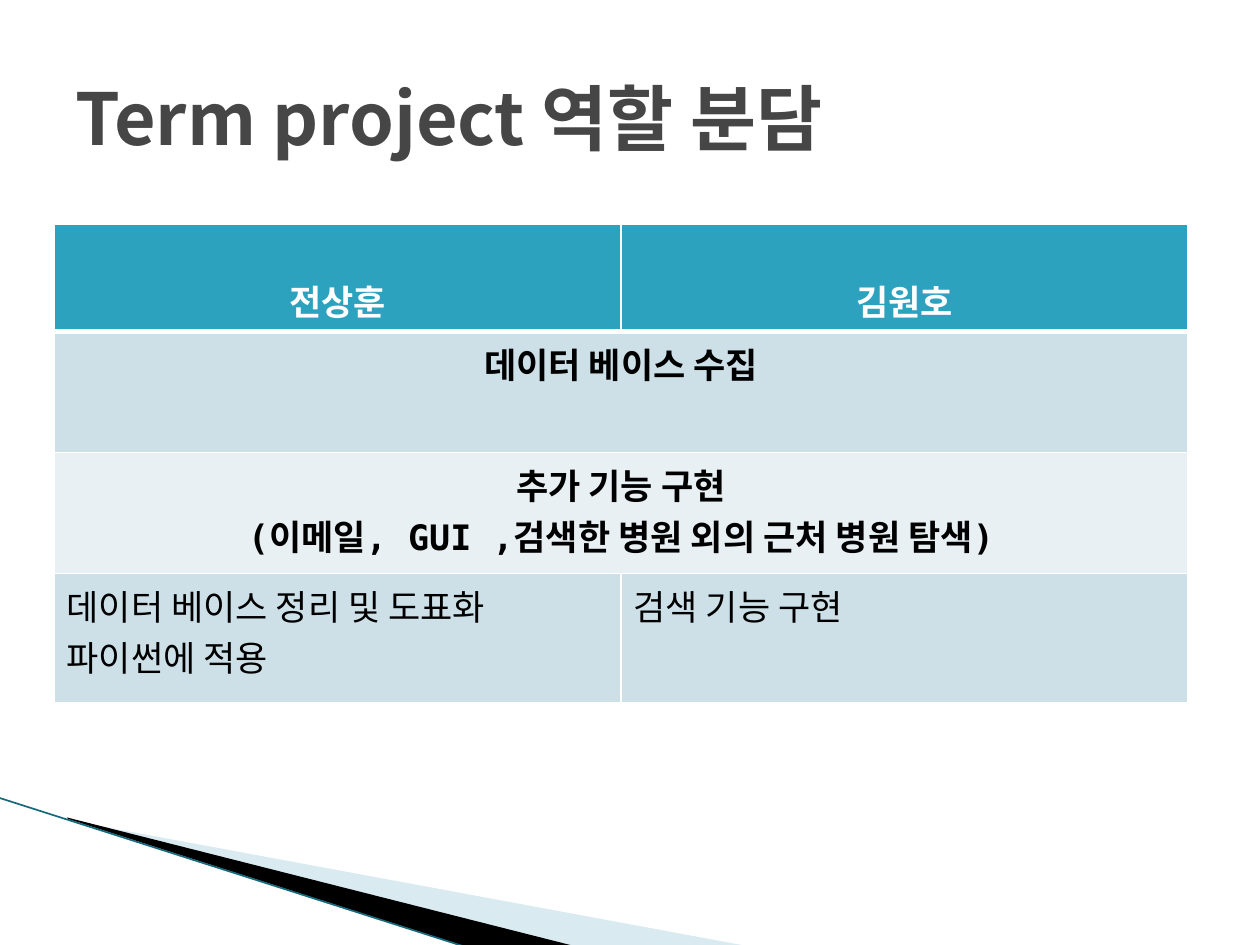
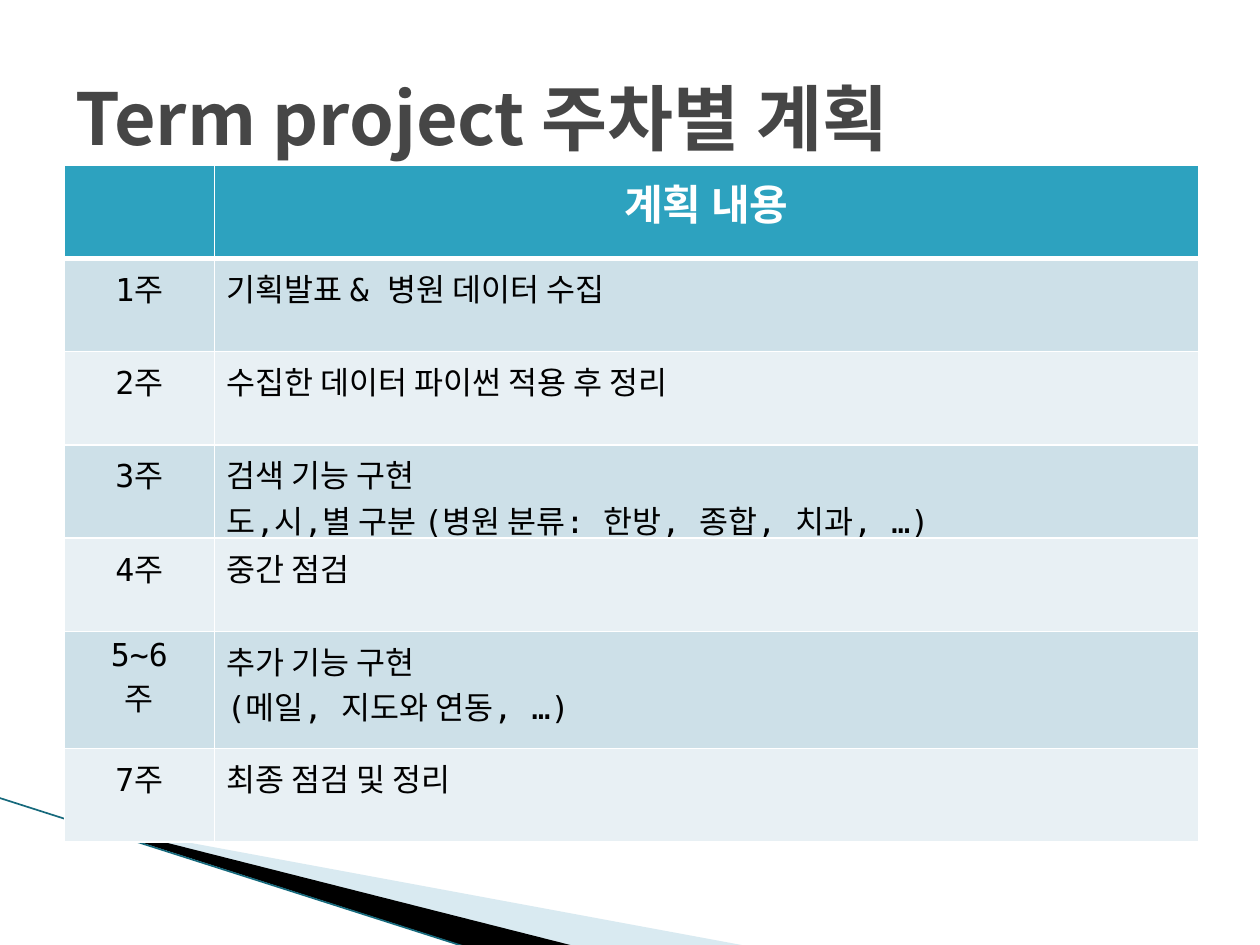
from lxml import etree
from pptx import Presentation
from pptx.dml.color import RGBColor
from pptx.enum.shapes import MSO_CONNECTOR
from pptx.enum.text import MSO_ANCHOR, PP_ALIGN
from pptx.oxml.ns import qn
from pptx.util import Cm, Pt

CENTER, LEFT = PP_ALIGN.CENTER, PP_ALIGN.LEFT
TOP, MIDDLE, BOTTOM = MSO_ANCHOR.TOP, MSO_ANCHOR.MIDDLE, MSO_ANCHOR.BOTTOM
STRAIGHT = MSO_CONNECTOR.STRAIGHT

WHITE, BLACK = "FFFFFF", "000000"
TITLE_GREY = "464646"
HEADER_TEAL = "2DA2BF"
ROW_TINTS = ("CDE0E8", "E8F0F4")
SWOOSH_BLUE = "A0CBDC"
SWOOSH_EDGE = "16697C"
TITLE_FONT = KOREAN_FONT = "Noto Sans CJK KR"
TABLE_FONT = "DejaVu Sans Mono"
BLANK_LAYOUT = 6


def rgb(value):
    """Turn a hex string into a colour."""
    return RGBColor.from_string(value)


def style_paragraph(paragraph, size, color, bold, font, align=LEFT):
    """Set the font and alignment of a whole paragraph."""
    paragraph.alignment = align
    paragraph.font.size = Pt(size)
    paragraph.font.bold = bold
    paragraph.font.color.rgb = rgb(color)
    paragraph.font.name = font
    defaults = paragraph._p.get_or_add_pPr().find(qn("a:defRPr"))
    etree.SubElement(defaults, qn("a:ea"), typeface=KOREAN_FONT)


def add_sliver(slide, points, color, opacity=100):
    """Draw a filled outline through points given in centimetres."""
    corners = [(Cm(x), Cm(y)) for x, y in points]
    builder = slide.shapes.build_freeform(*corners[0], scale=1.0)
    builder.add_line_segments(corners[1:], close=True)
    sliver = builder.convert_to_shape()
    sliver.shadow.inherit = False
    sliver.line.fill.background()
    sliver.fill.solid()
    sliver.fill.fore_color.rgb = rgb(color)
    if opacity < 100:
        tint = sliver._element.spPr.find(qn("a:solidFill"))[0]
        etree.SubElement(tint, qn("a:alpha"), val=str(opacity * 1000))


def add_swoosh(slide):
    """Draw the corner decoration that all slides share."""
    add_sliver(slide, [(1.4, 16.54), (15.11, 19.08), (11.58, 19.08),
                       (1.4, 16.51)], SWOOSH_BLUE, opacity=40)
    add_sliver(slide, [(1.35, 16.48), (11.61, 19.08), (9.45, 19.1),
                       (1.37, 16.51)], BLACK)
    edge = slide.shapes.add_connector(
        STRAIGHT, Cm(-0.03), Cm(16.08), Cm(9.42), Cm(19.1))
    edge.line.color.rgb = rgb(SWOOSH_EDGE)
    edge.line.width = Pt(0.95)
    etree.SubElement(edge._element.spPr, qn("a:effectLst"))


def add_title(slide, text):
    """Add the large grey slide title."""
    frame = slide.shapes.add_textbox(
        Cm(1.27), Cm(0.76), Cm(22.86), Cm(3.18)).text_frame
    frame.word_wrap = True
    frame.vertical_anchor = MIDDLE
    frame.text = text
    style_paragraph(frame.paragraphs[0], 41, TITLE_GREY, True, TITLE_FONT)


def set_borders(cell, row):
    """Give a cell white borders, thick between header and body."""
    properties = cell._tc.get_or_add_tcPr()
    widths = {"lnL": 1, "lnR": 1, "lnT": 3 if row == 1 else 1,
              "lnB": 3 if row == 0 else 1}
    for side, width in widths.items():
        border = etree.SubElement(properties, qn(f"a:{side}"),
                                  w=str(Pt(width)))
        fill = etree.SubElement(border, qn("a:solidFill"))
        etree.SubElement(fill, qn("a:srgbClr"), val=WHITE)


def fill_cell(cell, row, text, size, bold, align, anchor):
    """Write one table cell and colour it by its row."""
    set_borders(cell, row)
    cell.fill.solid()
    cell.fill.fore_color.rgb = rgb(
        HEADER_TEAL if row == 0 else ROW_TINTS[(row - 1) % 2])
    cell.vertical_anchor = anchor
    cell.text = text
    for paragraph in cell.text_frame.paragraphs:
        style_paragraph(paragraph, size, BLACK if row else WHITE, bold,
                        TABLE_FONT, align)


def add_grid(slide, left, top, widths, heights):
    """Add an empty table whose sizes are in centimetres."""
    grid = slide.shapes.add_table(
        len(heights), len(widths), Cm(left), Cm(top),
        Cm(sum(widths)), Cm(sum(heights))).table
    for column, width in zip(grid.columns, widths):
        column.width = Cm(width)
    for row, height in zip(grid.rows, heights):
        row.height = Cm(height)
    return grid


def add_roles(slide):
    """Add the table of who does what; single entries span both people."""
    roles = [
        ("전상훈", "김원호"),
        ("데이터 베이스 수집",),
        ("추가 기능 구현\n(이메일, GUI ,검색한 병원 외의 근처 병원 탐색)",),
        ("데이터 베이스 정리 및 도표화\n파이썬에 적용", "검색 기능 구현"),
    ]
    grid = add_grid(slide, 1.09, 4.52, [11.43] * 2, [2.16, 2.44, 2.44, 2.6])
    for row, entries in enumerate(roles):
        shared = len(entries) == 1
        if shared:
            grid.cell(row, 0).merge(grid.cell(row, 1))
        heading = row == 0 or shared
        for column, text in enumerate(entries):
            fill_cell(grid.cell(row, column), row, text, 20, heading,
                      CENTER if heading else LEFT, TOP if row else BOTTOM)


def add_schedule(slide):
    """Add the table of weekly plans."""
    schedule = [
        ("", "계획 내용"),
        ("1주", "기획발표 & 병원 데이터 수집"),
        ("2주", "수집한 데이터 파이썬 적용 후 정리"),
        ("3주", "검색 기능 구현\n"
                "도,시,별 구분 (병원 분류: 한방, 종합, 치과, …)"),
        ("4주", "중간 점검"),
        ("5~6\n주", "추가 기능 구현\n(메일, 지도와 연동, …)"),
        ("7주", "최종 점검 및 정리"),
    ]
    grid = add_grid(slide, 1.3, 3.33, [3.02, 19.84],
                    [1.88] * 5 + [2.36, 1.88])
    for row, entries in enumerate(schedule):
        for column, text in enumerate(entries):
            centred = row == 0 or column == 0
            fill_cell(grid.cell(row, column), row, text, 18 if row else 24,
                      row == 0, CENTER if centred else LEFT, TOP)


def main():
    """Build both slides and save them."""
    deck = Presentation()
    deck.slide_width, deck.slide_height = Cm(25.4), Cm(19.05)
    pages = [("Term project 역할 분담", add_roles),
             ("Term project 주차별 계획", add_schedule)]
    for title, add_content in pages:
        slide = deck.slides.add_slide(deck.slide_layouts[BLANK_LAYOUT])
        add_swoosh(slide)
        add_title(slide, title)
        add_content(slide)
    deck.save("out.pptx")


main()
